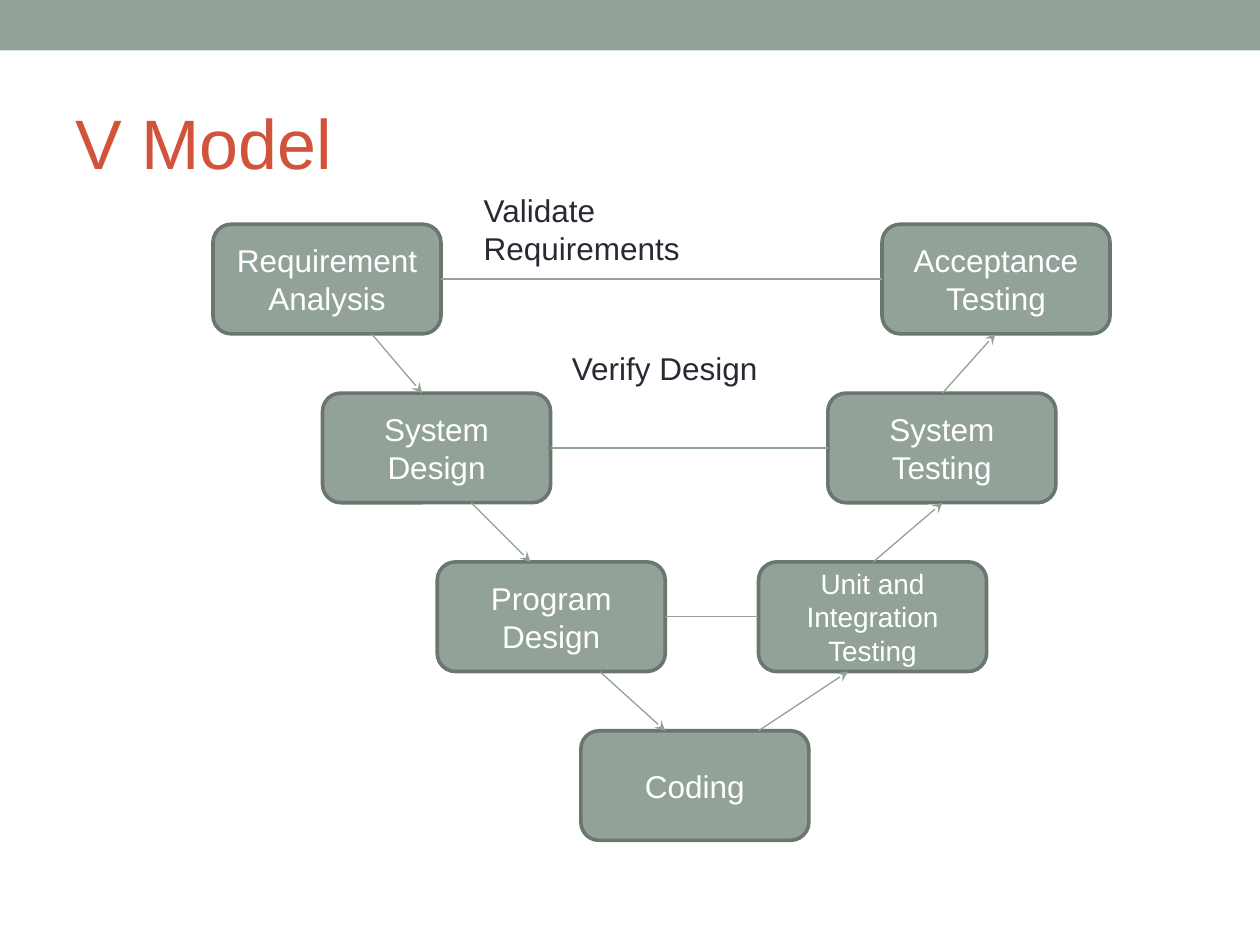
from dataclasses import dataclass
from lxml.etree import SubElement
from pptx import Presentation
from pptx.dml.color import RGBColor
from pptx.enum.shapes import MSO_CONNECTOR, MSO_SHAPE
from pptx.enum.text import MSO_ANCHOR, MSO_AUTO_SIZE, PP_ALIGN
from pptx.oxml.ns import qn
from pptx.util import Inches, Pt


@dataclass(frozen=True)
class Theme:
    sage: str = "93A299"
    edge: str = "6B766F"
    red: str = "D2533C"
    ink: str = "292934"
    white: str = "FFFFFF"
    face: str = "Arial"
    head: int = 40
    body: int = 18
    snug: int = 16
    rim: float = 2.08
    thin: float = 0.75


THEME = Theme()
WIDE, HIGH = 10, 7.5
TOP, STEP = 1.78, 1.34
BOX_W, BOX_H = 1.81, 0.87
LONG = 20
LEFT = [(1.69, "Requirement Analysis"), (2.56, "System Design"),
        (3.47, "Program Design"), (4.61, "Coding")]
RIGHT = [(7, "Acceptance Testing"), (6.57, "System Testing"),
         (6.02, "Unit and Integration Testing")]
DOWN = [(2.95, 3.35), (3.74, 4.21), (4.76, 5.28)]
RISE = [(7.48, 7.9), (6.93, 7.48), (6.02, 6.73)]
NOTES = [((3.74, 1.47, 2.68, 0.71), "Validate Requirements"),
         ((4.44, 2.72, 1.98, 0.4), "Verify Design")]


def apply(item, form):
    for name, value in form.items():
        setattr(item, name, value)


def row_top(row):
    return TOP + row * STEP


def write(shape, text, size, tint, align, anchor):
    frame = shape.text_frame
    frame.text = text
    apply(frame, {"word_wrap": True, "vertical_anchor": anchor})
    part = frame.paragraphs[0]
    part.alignment = align
    apply(part.runs[0].font, {"size": Pt(size), "name": THEME.face})
    part.runs[0].font.color.rgb = RGBColor.from_string(tint)


def paint(shape, rim=None):
    shape.shadow.inherit = False
    shape.fill.solid()
    shape.fill.fore_color.rgb = RGBColor.from_string(THEME.sage)
    if rim:
        shape.line.color.rgb = RGBColor.from_string(rim)
        shape.line.width = Pt(THEME.rim)
    else:
        shape.line.fill.background()


def add_bar(slide):
    bar = slide.shapes.add_shape(MSO_SHAPE.RECTANGLE, 0, 0, Inches(WIDE), Inches(0.4))
    paint(bar)


def add_title(slide, text):
    title = slide.shapes.title
    spot = {"left": 0.5, "top": 0.58, "width": 9, "height": 1.08}
    apply(title, {key: Inches(value) for key, value in spot.items()})
    write(title, text, THEME.head, THEME.red, PP_ALIGN.LEFT, MSO_ANCHOR.MIDDLE)


def add_box(slide, left, row, text):
    spot = map(Inches, (left, row_top(row), BOX_W, BOX_H))
    box = slide.shapes.add_shape(MSO_SHAPE.ROUNDED_RECTANGLE, *spot)
    paint(box, THEME.edge)
    size = THEME.snug if len(text) > LONG else THEME.body
    write(box, text, size, THEME.white, PP_ALIGN.CENTER, MSO_ANCHOR.MIDDLE)
    apply(box.text_frame, {"margin_top": 0, "margin_bottom": 0})


def add_link(slide, start, end, arrow=False):
    link = slide.shapes.add_connector(MSO_CONNECTOR.STRAIGHT, *map(Inches, start + end))
    link.line.color.rgb = RGBColor.from_string(THEME.sage)
    link.line.width = Pt(THEME.thin)
    if arrow:
        SubElement(link.line._get_or_add_ln(), qn("a:tailEnd"), type="stealth")
    SubElement(link._element.spPr, qn("a:effectLst"))


def add_note(slide, spot, text):
    note = slide.shapes.add_textbox(*map(Inches, spot))
    write(note, text, THEME.body, THEME.ink, PP_ALIGN.LEFT, MSO_ANCHOR.TOP)
    note.text_frame.auto_size = MSO_AUTO_SIZE.SHAPE_TO_FIT_TEXT


def main():
    deck = Presentation()
    apply(deck, {"slide_width": Inches(WIDE), "slide_height": Inches(HIGH)})
    slide = deck.slides.add_slide(deck.slide_layouts[5])
    add_bar(slide)
    add_title(slide, "V Model")
    for side in (LEFT, RIGHT):
        for row, (left, text) in enumerate(side):
            add_box(slide, left, row, text)
    for row, (down, rise) in enumerate(zip(DOWN, RISE)):
        base, roof = row_top(row) + BOX_H, row_top(row + 1)
        add_link(slide, (down[0], base), (down[1], roof), True)
        add_link(slide, (rise[0], roof), (rise[1], base), True)
    for row, (near, far) in enumerate(zip(LEFT, RIGHT)):
        mid = row_top(row) + BOX_H / 2
        add_link(slide, (near[0] + BOX_W, mid), (far[0], mid))
    for spot, text in NOTES:
        add_note(slide, spot, text)
    deck.save("out.pptx")


if __name__ == "__main__":
    main()
